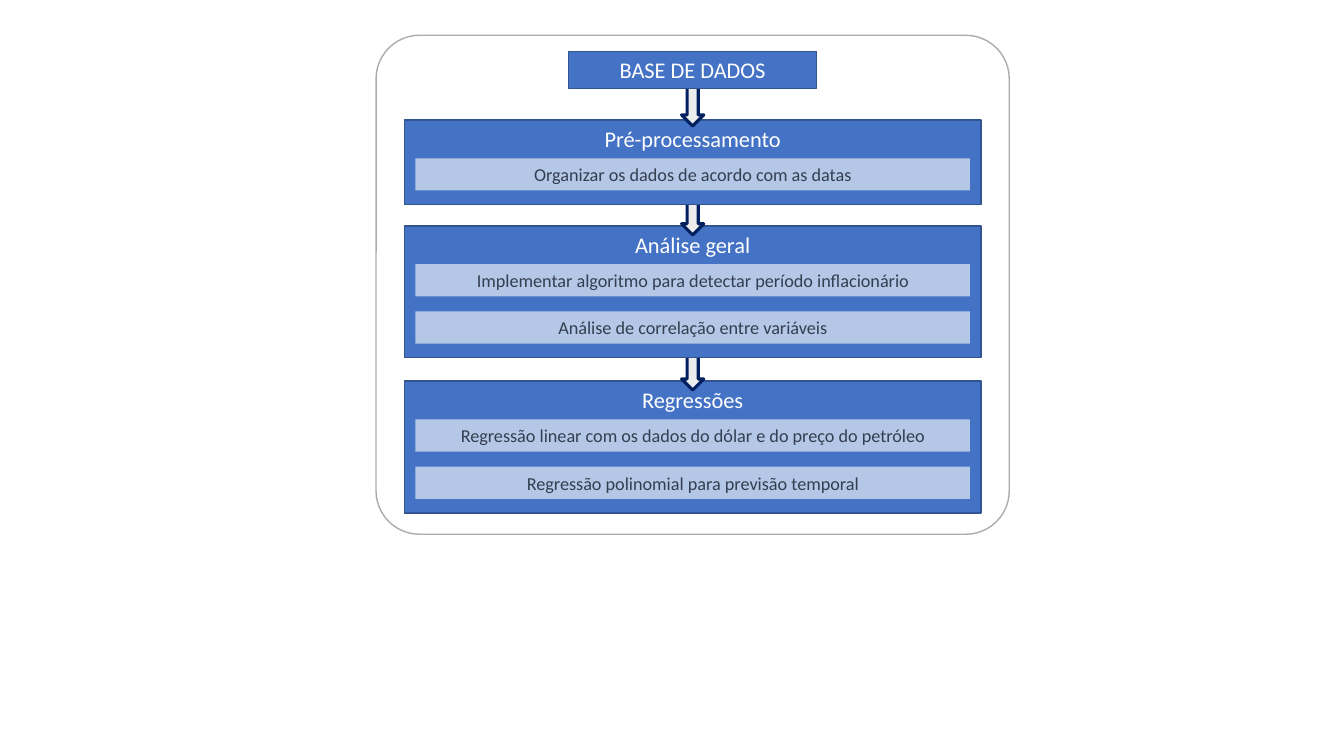
from pptx import Presentation
from pptx.dml.color import RGBColor
from pptx.enum.shapes import MSO_SHAPE as Shape
from pptx.enum.text import MSO_ANCHOR as Anchor, PP_ALIGN as Align
from pptx.util import Inches, Pt

BLUE, BLUE_EDGE = "4472C4", "325491"
CENTER = 6.87      # shared vertical axis of the flow
HEADING = 0.37     # height of a heading line
STEP = 0.47        # distance from one task bar to the next
BAR = 0.32         # height of a task bar

# Heading, top of the panel, top of the arrow leading to it, tasks
STAGES = [
    ("Pré-processamento", 1.19, 0.76,
     ["Organizar os dados de acordo com as datas"]),
    ("Análise geral", 2.24, 1.84,
     ["Implementar algoritmo para detectar período inflacionário",
      "Análise de correlação entre variáveis"]),
    ("Regressões", 3.78, 3.38,
     ["Regressão linear com os dados do dólar e do preço do petróleo",
      "Regressão polinomial para previsão temporal"]),
]

deck = Presentation()
deck.slide_width, deck.slide_height = Inches(13.33), Inches(7.5)
page = deck.slides.add_slide(deck.slide_layouts[6])


def add_block(kind, top, width, height, fill, edge=None, weight=1):
    """Add a filled shape centred on the axis of the flow."""
    block = page.shapes.add_shape(kind, Inches(CENTER - width / 2), Inches(top),
                                  Inches(width), Inches(height))
    block.shadow.inherit = False
    block.fill.solid()
    block.fill.fore_color.rgb = RGBColor.from_string(fill)
    if edge:
        block.line.color.rgb = RGBColor.from_string(edge)
        block.line.width = Pt(weight)
    else:
        block.line.fill.background()
    return block


def write(block, text, size, color, anchor=Anchor.MIDDLE):
    """Put one centred line of text into a shape."""
    frame = block.text_frame
    frame.word_wrap = True
    frame.vertical_anchor = anchor
    frame.margin_top = frame.margin_bottom = Inches(0.05)
    para = frame.paragraphs[0]
    para.text = text
    para.alignment = Align.CENTER
    para.font.name, para.font.size = "Calibri", Pt(size)
    para.font.color.rgb = RGBColor.from_string(color)


# Rounded frame around the flow
outline = add_block(Shape.ROUNDED_RECTANGLE, 0.35, 6.28, 4.95, "FFFFFF", "AFABAB")
outline.adjustments[0] = 0.087

# Stages from the bottom up, so each panel covers the start of the arrow below it
for heading, top, arrow_top, tasks in reversed(STAGES):
    panel = add_block(Shape.RECTANGLE, top, 5.72, HEADING + STEP * len(tasks),
                      BLUE, BLUE_EDGE)
    write(panel, heading, 16, "FFFFFF", Anchor.TOP)
    for row, task in enumerate(tasks):
        bar = add_block(Shape.RECTANGLE, top + HEADING + 0.01 + row * STEP,
                        5.5, BAR, "B4C7E7")
        write(bar, task, 13, "333F50")
    add_block(Shape.DOWN_ARROW, arrow_top, 0.22, 0.49, "EDEDED", "002060", 2.25)

# Starting point
source = add_block(Shape.RECTANGLE, 0.51, 2.46, HEADING, BLUE, BLUE_EDGE)
write(source, "BASE DE DADOS", 16, "FFFFFF")

deck.save("out.pptx")
